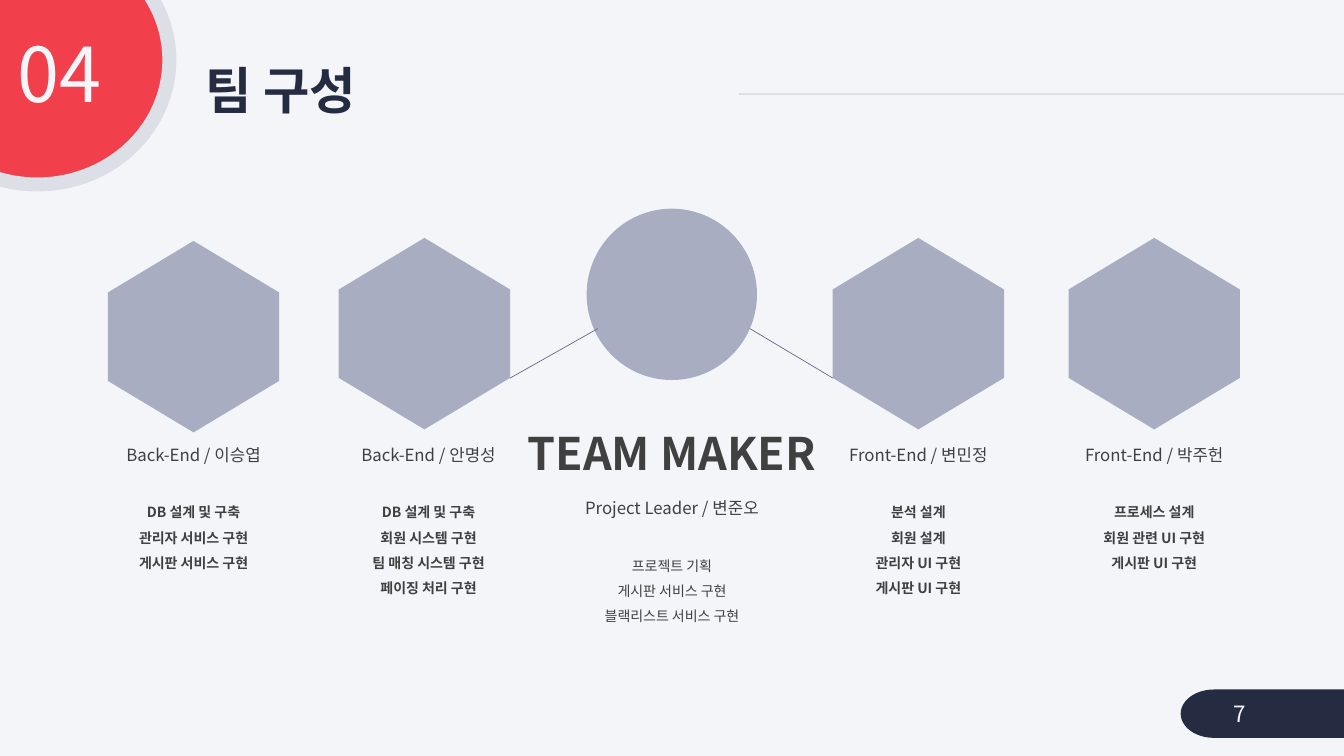
from lxml.etree import SubElement
from pptx import Presentation
from pptx.dml.color import RGBColor
from pptx.enum.shapes import MSO_CONNECTOR as CONN, MSO_SHAPE as SHAPE
from pptx.enum.text import MSO_ANCHOR as ANCHOR, PP_ALIGN as ALIGN
from pptx.oxml.ns import qn
from pptx.util import Inches, Pt

FONT = "Noto Sans CJK KR"
NAVY, RED, PALE, GREY = "252C41", "F1404B", "F4F5F9", "DDDFE6"
LILAC, SLATE, INK = "A8ADC1", "646C8D", "404040"


def rgb(hex_string):
    """Turn a hex string into a colour."""
    return RGBColor.from_string(hex_string)


def within(box, x, y, w=0, h=0):
    """Return the part of box given in percent of its width and height."""
    left, top, width, height = box
    return (round(left + width * x / 100), round(top + height * y / 100),
            round(width * w / 100), round(height * h / 100))


def add_shape(s, kind, box, fill, line=None, weight=0):
    """Add a flat preset shape, outlined only if a line colour is given."""
    sp = s.shapes.add_shape(kind, *box)
    sp.shadow.inherit = False
    sp.fill.solid()
    sp.fill.fore_color.rgb = rgb(fill)
    if line:
        sp.line.color.rgb = rgb(line)
        sp.line.width = Pt(weight)
    else:
        sp.line.fill.background()
    return sp


def add_line(s, start, end, color, weight):
    """Add a straight line without a shadow between two points."""
    cx = s.shapes.add_connector(CONN.STRAIGHT, *start[:2], *end[:2])
    cx.line.color.rgb = rgb(color)
    cx.line.width = Pt(weight)
    SubElement(cx._element.spPr, qn("a:effectLst"))


def add_text(s, box, lines, color, anchor=ANCHOR.TOP, **para_format):
    """Add a text box from (text, size, bold, space after) lines."""
    tf = s.shapes.add_textbox(*box).text_frame
    tf.word_wrap = True
    tf.vertical_anchor = anchor
    for i, (text, size, bold, after) in enumerate(lines):
        p = tf.add_paragraph() if i else tf.paragraphs[0]
        for name, value in {**para_format, "space_after": Pt(after)}.items():
            setattr(p, name, value)
        r = p.add_run()
        r.text = text
        for name, value in {"name": FONT, "size": Pt(size), "bold": bold}.items():
            setattr(r.font, name, value)
        r.font.color.rgb = rgb(color)
        SubElement(r._r.get_or_add_rPr(), qn("a:ea")).set("typeface", FONT)


def add_duties(s, box, role, duties, bold):
    """Add a centred role line with the duties under it."""
    lines = [(role, 12, False, 22)] + [(duty, 10, bold, 0) for duty in duties]
    add_text(s, box, lines, INK, alignment=ALIGN.CENTER, line_spacing=1.5)


def add_header(s, box, number, title):
    """Add the rule, the numbered disc and the title."""
    add_line(s, within(box, 55, 12.4), within(box, 100, 12.4), GREY, 1.5)
    add_shape(s, SHAPE.OVAL, within(box, -7.05, -8.53, 19.65, 32.93), RED, GREY, 10)
    add_text(s, within(box, 14.55, 7.87, 40.43, 8.93), [(title, 36, True, 0)],
             NAVY, ANCHOR.MIDDLE, line_spacing=0.9)
    add_text(s, within(box, -0.83, 4.27, 9.15, 12.27), [(number, 54, False, 0)],
             PALE, alignment=ALIGN.RIGHT, line_spacing=0.9, space_before=Pt(10))


def add_page_tab(s, box, page):
    """Add the page number on its dark tab."""
    add_shape(s, SHAPE.FLOWCHART_TERMINATOR, within(box, 87.85, 91.2, 15.38, 6.4), NAVY)
    add_text(s, within(box, 91.07, 91.73, 8.18, 5.33), [(page, 16, False, 0)],
             PALE, ANCHOR.MIDDLE)


def add_leader(s, box, heading, role, duties):
    """Add the leader's circle, its two links, the heading and duties."""
    add_shape(s, SHAPE.OVAL, within(box, 24.6, 1.65, 50.7, 40), LILAC)
    for inner, outer in ((27.9, 1.8), (73.2, 97.9)):
        add_line(s, within(box, inner, 29.65), within(box, outer, 41.2), SLATE, 0.5)
    add_text(s, within(box, 0, 49.9, 100, 11.06), [(heading, 32, True, 0)], INK,
             ANCHOR.MIDDLE, alignment=ALIGN.CENTER, line_spacing=1.5)
    add_duties(s, within(box, 4.8, 65.65, 90.4, 34.35), role, duties, False)


def add_member(s, box, hex_x, hex_y, role, duties):
    """Add a member's upright hexagon with role and duties below."""
    sp = add_shape(s, SHAPE.HEXAGON, within(box, hex_x, hex_y, 95, 45.33), LILAC)
    sp.rotation = 270
    sp.adjustments[0], sp.adjustments[1] = 0.301, 1.155
    add_duties(s, within(box, 0, 53.6, 100, 46), role, duties, True)


MEMBERS = [  # left edge, hexagon offset x and y, role, duties
    (6.9, 2.5, 6.4, "Back-End / 이승엽",
     ["DB 설계 및 구축", "관리자 서비스 구현", "게시판 서비스 구현"]),
    (24.38, 0.5, 5.6, "Back-End / 안명성",
     ["DB 설계 및 구축", "회원 시스템 구현", "팀 매칭 시스템 구현", "페이징 처리 구현"]),
    (60.83, 2.5, 5.6, "Front-End / 변민정",
     ["분석 설계", "회원 설계", "관리자 UI 구현", "게시판 UI 구현"]),
    (78.38, 2.5, 5.6, "Front-End / 박주헌",
     ["프로세스 설계", "회원 관련 UI 구현", "게시판 UI 구현"]),
]


def build_team_slide(prs):
    """Build the team slide."""
    s = prs.slides.add_slide(prs.slide_layouts[6])
    s.background.fill.solid()
    s.background.fill.fore_color.rgb = rgb(PALE)
    page = (0, 0, prs.slide_width, prs.slide_height)
    add_header(s, page, "04", "팀 구성")
    add_page_tab(s, page, "7")
    for left, *member in MEMBERS:
        add_member(s, within(page, left, 30, 15, 50), *member)
    add_leader(s, within(page, 37.5, 26.67, 25, 56.67), "TEAM MAKER",
               "Project Leader / 변준오",
               ["프로젝트 기획", "게시판 서비스 구현", "블랙리스트 서비스 구현"])


prs = Presentation()
prs.slide_width, prs.slide_height = Inches(13.33), Inches(7.5)
build_team_slide(prs)
prs.save("out.pptx")
